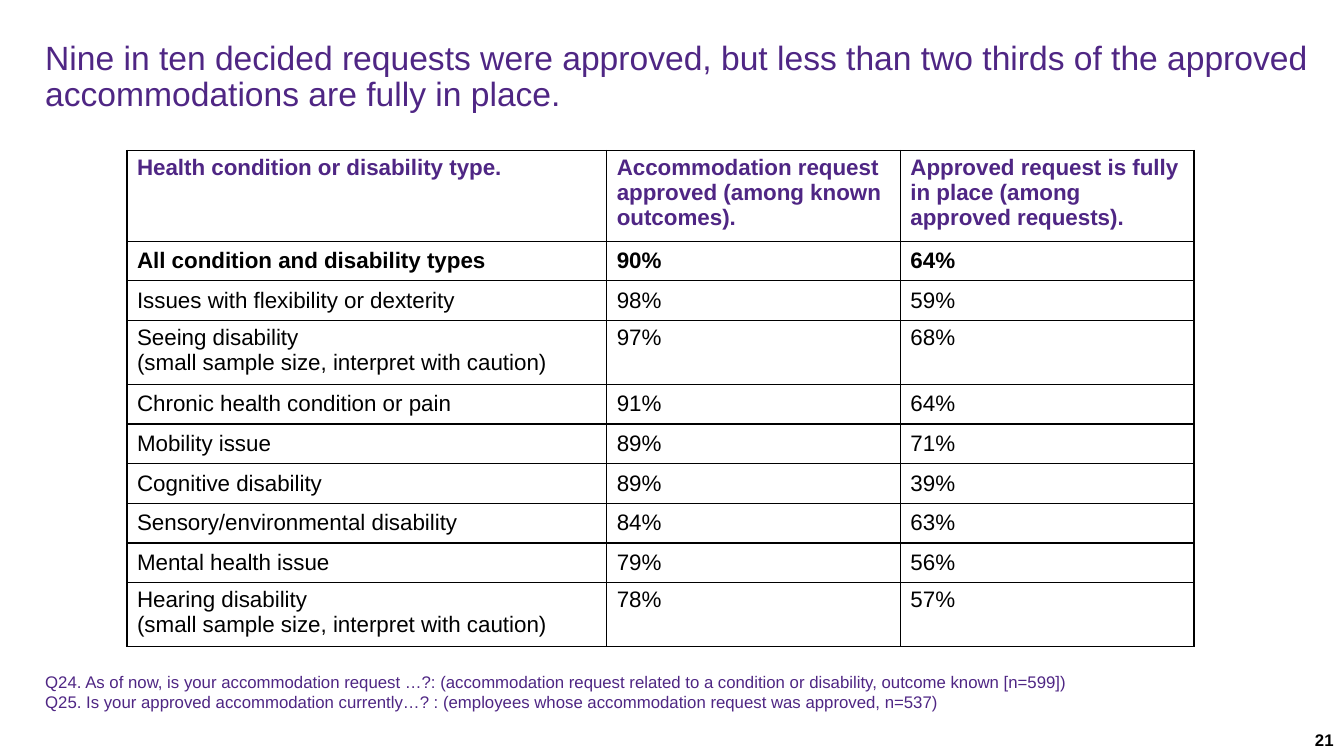
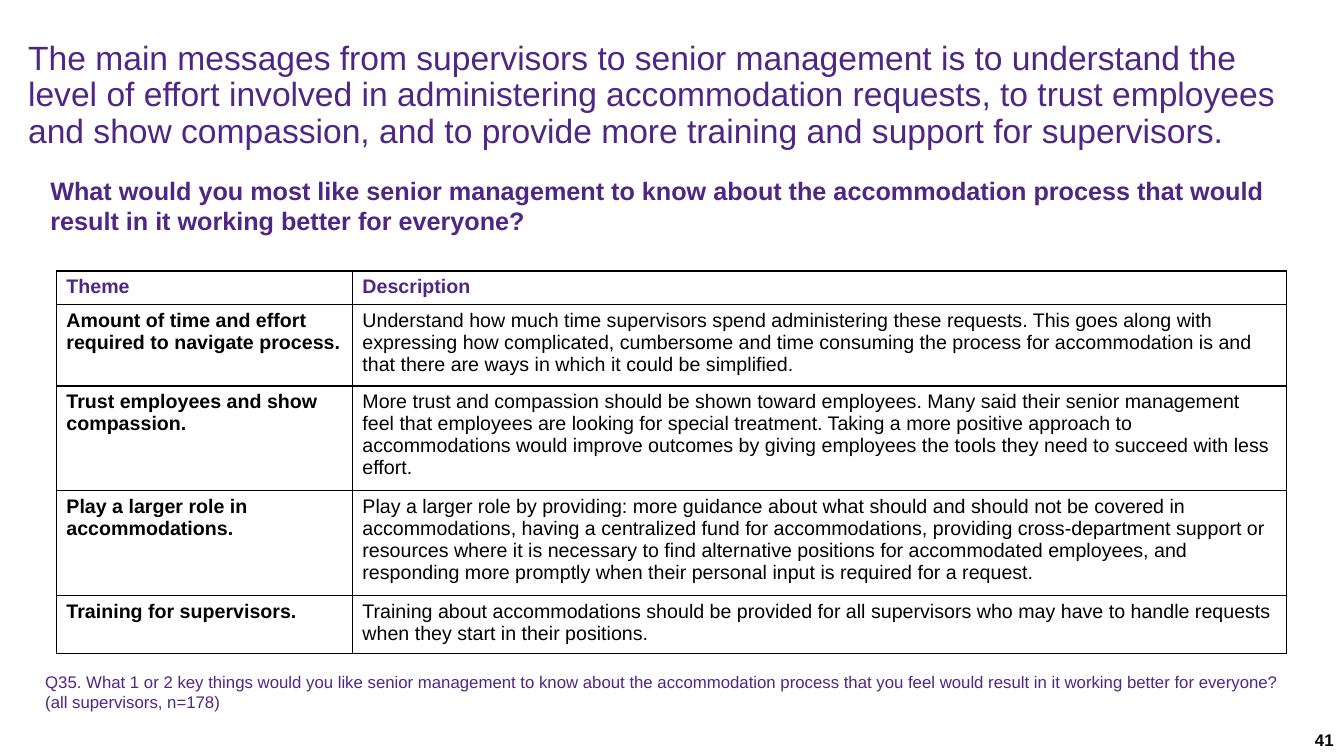
from dataclasses import dataclass

from lxml import etree
from pptx import Presentation
from pptx import util as u
from pptx.dml import color
from pptx.enum import text
from pptx.oxml import ns

FONT = "Arial"
COLORS = {"purple": "4F2684", "black": "000000", "white": "FFFFFF"}
BORDER_PT = 1
TITLE_TOP = 1
NOTE_LEFT, NOTE_TOP, NOTE_HEIGHT = 0.89, 16.79, 1.27


@dataclass(frozen=True)
class Box:
    left: float
    top: float
    width: float
    height: float


@dataclass(frozen=True)
class Style:
    size: float
    color: str = "purple"
    bold: bool = False


@dataclass(frozen=True)
class Row:
    cells: tuple[str, ...]
    height: float
    bold_cells: int = 0
    middle: bool = False


@dataclass(frozen=True)
class Grid:
    left: float
    top: float
    columns: tuple[float, ...]
    size: float
    header: Row
    rows: tuple[Row, ...]


TITLE = Style(24)
QUESTION = Style(18, bold=True)
NOTE = Style(12)
PAGE = Style(12, "black", True)
PAGE_BOX = Box(26.24, 18.24, 7.62, 0.81)


def rgb(name: str) -> color.RGBColor:
    return color.RGBColor.from_string(COLORS[name])


def write(tf, content: str, style: Style, align=None, spacing=None) -> None:
    for i, line in enumerate(content.split("\n")):
        p = tf.add_paragraph() if i else tf.paragraphs[0]
        p.alignment = align
        p.line_spacing = spacing
        r = p.add_run()
        r.text = line
        r.font.name = FONT
        r.font.size = u.Pt(style.size)
        r.font.bold = style.bold
        r.font.color.rgb = rgb(style.color)


def add_text(s, box: Box, content: str, style: Style,
             anchor=text.MSO_ANCHOR.TOP, align=None):
    sp = s.shapes.add_textbox(u.Cm(box.left), u.Cm(box.top),
                              u.Cm(box.width), u.Cm(box.height))
    tf = sp.text_frame
    tf.word_wrap = True
    tf.vertical_anchor = anchor
    if style is TITLE:
        tf.margin_left = tf.margin_right = 0
        tf.margin_top = tf.margin_bottom = u.Cm(0.05)
    write(tf, content, style, align, 0.9 if style is TITLE else None)


def add_borders(cell) -> None:
    tc_pr = cell._tc.get_or_add_tcPr()
    for side in ("lnL", "lnR", "lnT", "lnB"):
        ln = etree.SubElement(tc_pr, ns.qn(f"a:{side}"), w=str(u.Pt(BORDER_PT)))
        fill = etree.SubElement(ln, ns.qn("a:solidFill"))
        etree.SubElement(fill, ns.qn("a:srgbClr"), val=COLORS["black"])


def add_grid(s, grid: Grid) -> None:
    rows = (grid.header, *grid.rows)
    table = s.shapes.add_table(
        len(rows), len(grid.columns), u.Cm(grid.left), u.Cm(grid.top),
        u.Cm(sum(grid.columns)), u.Cm(sum(row.height for row in rows))).table
    table.first_row = table.horz_banding = False
    for column, width in zip(table.columns, grid.columns):
        column.width = u.Cm(width)
    for i, row in enumerate(rows):
        table.rows[i].height = u.Cm(row.height)
        for j, content in enumerate(row.cells):
            cell = table.cell(i, j)
            add_borders(cell)
            cell.fill.solid()
            cell.fill.fore_color.rgb = rgb("white")
            cell.vertical_anchor = (text.MSO_ANCHOR.MIDDLE if row.middle
                                    else text.MSO_ANCHOR.TOP)
            style = Style(grid.size, "black" if i else "purple",
                          i == 0 or j < row.bold_cells)
            write(cell.text_frame, content, style)


def add_page(prs, title: str, title_left: float, title_width: float,
             title_height: float, note: str, note_width: float,
             number: int, grid: Grid):
    s = prs.slides.add_slide(prs.slide_layouts[6])
    add_text(s, Box(title_left, TITLE_TOP, title_width, title_height), title, TITLE)
    add_grid(s, grid)
    add_text(s, Box(NOTE_LEFT, NOTE_TOP, note_width, NOTE_HEIGHT), note, NOTE)
    add_text(s, PAGE_BOX, str(number), PAGE,
             text.MSO_ANCHOR.MIDDLE, text.PP_ALIGN.RIGHT)
    return s


def rate_row(label: str, approved: int, in_place: int, bold: bool = False) -> Row:
    two_lines = "\n" in label
    return Row((label, f"{approved}%", f"{in_place}%"),
               1.51 if two_lines else 1, 3 if bold else 0, not two_lines)


CAUTION = "\n(small sample size, interpret with caution)"

RATES = Grid(
    3.2, 3.79, (12.09, 7.4, 7.4), 16,
    Row(("Health condition or disability type.",
         "Accommodation request approved (among known outcomes).",
         "Approved request is fully in place (among approved requests)."), 2.14),
    (
        rate_row("All condition and disability types", 90, 64, bold=True),
        rate_row("Issues with flexibility or dexterity", 98, 59),
        rate_row("Seeing disability" + CAUTION, 97, 68),
        rate_row("Chronic health condition or pain", 91, 64),
        rate_row("Mobility issue", 89, 71),
        rate_row("Cognitive disability", 89, 39),
        rate_row("Sensory/environmental disability", 84, 63),
        rate_row("Mental health issue", 79, 56),
        rate_row("Hearing disability" + CAUTION, 78, 57),
    ))

THEMES = Grid(
    1.42, 6.83, (7.46, 23.54), 14,
    Row(("Theme", "Description"), 0.83),
    (
        Row(("Amount of time and effort required to navigate process.",
             "Understand how much time supervisors spend administering these "
             "requests. This goes along with expressing how complicated, "
             "cumbersome and time consuming the process for accommodation is "
             "and that there are ways in which it could be simplified."),
            2.05, 1),
        Row(("Trust employees and show compassion.",
             "More trust and compassion should be shown toward employees. Many "
             "said their senior management feel that employees are looking for "
             "special treatment. Taking a more positive approach to "
             "accommodations would improve outcomes by giving employees the "
             "tools they need to succeed with less effort."), 2.63, 1),
        Row(("Play a larger role in accommodations.",
             "Play a larger role by providing: more guidance about what should "
             "and should not be covered in accommodations, having a centralized "
             "fund for accommodations, providing cross-department support or "
             "resources where it is necessary to find alternative positions for "
             "accommodated employees, and responding more promptly when their "
             "personal input is required for a request."), 2.65, 1),
        Row(("Training for supervisors.",
             "Training about accommodations should be provided for all "
             "supervisors who may have to handle requests when they start in "
             "their positions."), 1.46, 1),
    ))


def main() -> None:
    prs = Presentation()
    prs.slide_width, prs.slide_height = u.Cm(33.87), u.Cm(19.05)
    add_page(
        prs,
        "Nine in ten decided requests were approved, but less than two thirds "
        "of the approved accommodations are fully in place.",
        1.14, 31.85, 1.96,
        "Q24. As of now, is your accommodation request …?: (accommodation "
        "request related to a condition or disability, outcome known [n=599])\n"
        "Q25. Is your approved accommodation currently…? : (employees whose "
        "accommodation request was approved, n=537)",
        29.72, 21, RATES)
    s = add_page(
        prs,
        "The main messages from supervisors to senior management is to "
        "understand the level of effort involved in administering accommodation "
        "requests, to trust employees and show compassion, and to provide more "
        "training and support for supervisors.",
        0.71, 32.13, 2.87,
        "Q35. What 1 or 2 key things would you like senior management to know "
        "about the accommodation process that you feel would result in it "
        "working better for everyone? (all supervisors, n=178)",
        31.75, 41, THEMES)
    add_text(s, Box(1.02, 4.29, 31.39, 1.8),
             "What would you most like senior management to know about the "
             "accommodation process that would result in it working better for "
             "everyone?", QUESTION)
    prs.save("out.pptx")


if __name__ == "__main__":
    main()
